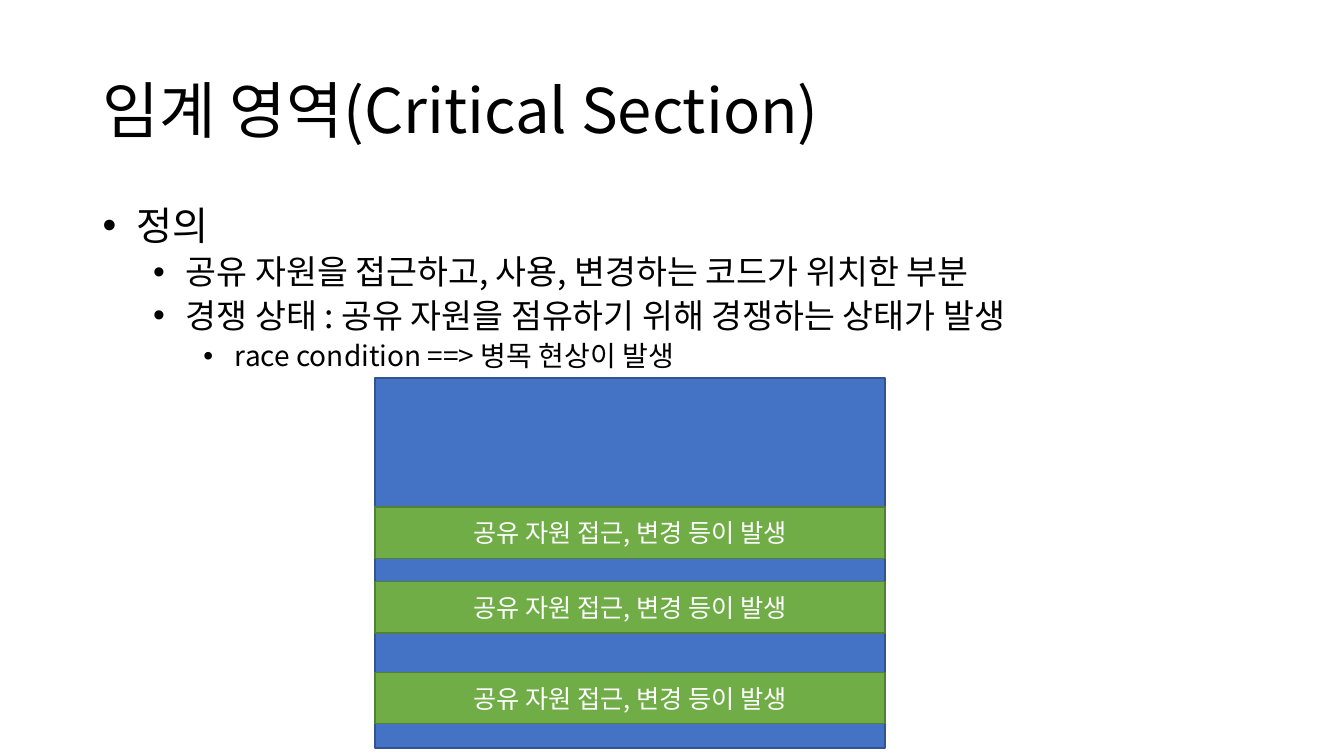
"""Build a slide that defines the critical section and shows shared access in code."""
from lxml.etree import SubElement
from pptx import Presentation
from pptx.dml.color import RGBColor
from pptx.enum.shapes import MSO_SHAPE
from pptx.enum.text import MSO_ANCHOR, PP_ALIGN
from pptx.oxml.ns import qn
from pptx.util import Inches, Pt

COLORS = {
    "text": "000000",
    "label": "FFFFFF",
    "code": "4472C4",
    "code_line": "325491",
    "access": "70AD47",
    "access_line": "538035",
}
FONT = "Noto Sans CJK KR"
BODY_SIZES = [28, 24, 20]
DEFINITION = [
    (0, " 정의"),
    (1, " 공유 자원을 접근하고, 사용, 변경하는 코드가 위치한 부분"),
    (1, " 경쟁 상태 : 공유 자원을 점유하기 위해 경쟁하는 상태가 발생"),
    (2, " race condition ==> 병목 현상이 발생"),
]
CODE_LEFT, CODE_WIDTH = 3.72, 5.06
ACCESS_TOPS = [5.03, 5.77, 6.67]


class SlideBuilder:
    def __init__(self, page):
        self.page = page

    def color(self, name):
        return RGBColor.from_string(COLORS[name])

    def set_text(self, para, text, size, color):
        para.text = text
        for span in para.runs:
            span.font.size = Pt(size)
            span.font.color.rgb = self.color(color)
            span.font.name = FONT
            SubElement(span.font._element, qn("a:ea"), typeface=FONT)

    def text_box(self, left, top, width, height, anchor):
        box = self.page.shapes.add_textbox(
            Inches(left), Inches(top), Inches(width), Inches(height))
        box.text_frame.word_wrap = True
        box.text_frame.vertical_anchor = anchor
        return box.text_frame

    def title(self, text, left, top, width, height):
        frame = self.text_box(left, top, width, height, MSO_ANCHOR.MIDDLE)
        para = frame.paragraphs[0]
        para.line_spacing = 0.9
        self.set_text(para, text, 44, "text")

    def bullets(self, items, left, top, width, height):
        frame = self.text_box(left, top, width, height, MSO_ANCHOR.TOP)
        for index, (level, text) in enumerate(items):
            para = frame.add_paragraph() if index else frame.paragraphs[0]
            self.set_text(para, text, BODY_SIZES[level], "text")
            para.level = level
            para.line_spacing = 0.9
            para.space_before = Pt(5 if level else 10)
            properties = para._p.get_or_add_pPr()
            properties.set("marL", str(Inches(0.25 + 0.5 * level)))
            properties.set("indent", str(Inches(-0.25)))
            SubElement(properties, qn("a:buFont"), typeface="Arial")
            SubElement(properties, qn("a:buChar"), char="•")

    def block(self, left, top, width, height, color, text=None):
        box = self.page.shapes.add_shape(
            MSO_SHAPE.RECTANGLE,
            Inches(left), Inches(top), Inches(width), Inches(height))
        box.shadow.inherit = False
        box.fill.solid()
        box.fill.fore_color.rgb = self.color(color)
        box.line.color.rgb = self.color(color + "_line")
        box.line.width = Pt(1)
        if text:
            box.text_frame.vertical_anchor = MSO_ANCHOR.MIDDLE
            para = box.text_frame.paragraphs[0]
            para.alignment = PP_ALIGN.CENTER
            self.set_text(para, text, 18, "label")


def main():
    deck = Presentation()
    deck.slide_width, deck.slide_height = Inches(13.33), Inches(7.5)
    builder = SlideBuilder(deck.slides.add_slide(deck.slide_layouts[6]))
    builder.title("임계 영역(Critical Section)", 0.92, 0.4, 11.5, 1.45)
    builder.bullets(DEFINITION, 0.92, 2, 11.5, 4.76)
    builder.block(CODE_LEFT, 3.75, CODE_WIDTH, 3.67, "code")
    for top in ACCESS_TOPS:
        builder.block(CODE_LEFT, top, CODE_WIDTH, 0.51, "access",
                      "공유 자원 접근, 변경 등이 발생")
    deck.save("out.pptx")


if __name__ == "__main__":
    main()
